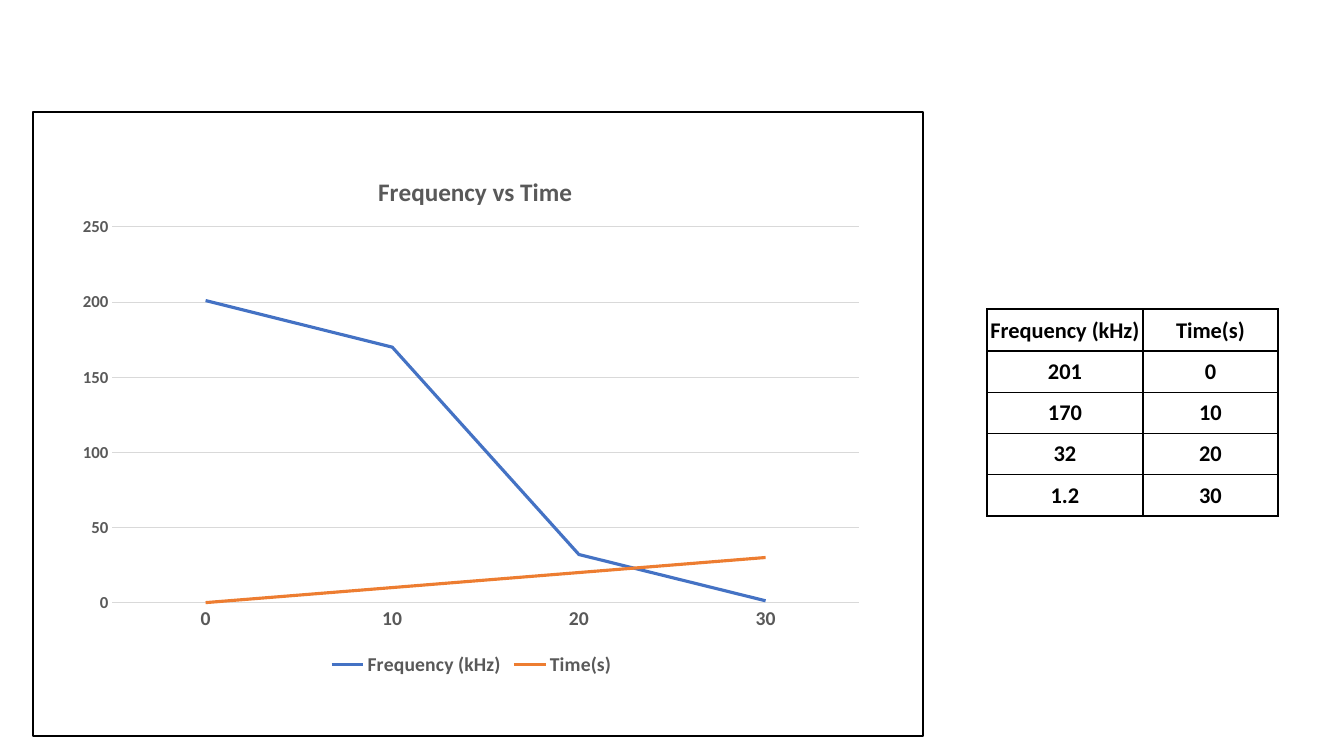
from lxml import etree
from pptx import Presentation, util as u
from pptx.chart.data import CategoryChartData
from pptx.dml.color import RGBColor
from pptx.enum import chart as charts, shapes, text
from pptx.oxml import ns

FREQUENCY, TIME = "Frequency (kHz)", "Time(s)"
READINGS = [(201, 0), (170, 10), (32, 20), (1.2, 30)]


def px(length):
    return u.Emu(round(length * 914400 / 100.8))


def color(hex_string):
    return RGBColor.from_string(hex_string)


def add_child(parent, tag, **attributes):
    return etree.SubElement(parent, ns.qn(tag), attributes)


class SlideBuilder:
    FONT = "Calibri"
    BLACK, GREY, GRID = "000000", "595959", "D9D9D9"

    def __init__(self, presentation):
        self.slide = presentation.slides.add_slide(presentation.slide_layouts[6])

    def style_font(self, font, size, hex_string, bold=True):
        font.name, font.size, font.bold = self.FONT, u.Pt(size), bold
        font.color.rgb = color(hex_string)

    def style_line(self, line, hex_string, width):
        line.color.rgb = color(hex_string)
        line.width = u.Pt(width)

    def place(self, element, **fractions):
        """Fix a chart part at fractions of the chart's size."""
        layout = element.find(ns.qn("c:layout"))
        if layout is None:
            layout = element.makeelement(ns.qn("c:layout"))
            element.insert(0, layout)
        manual = add_child(layout, "c:manualLayout")
        if "w" in fractions:
            add_child(manual, "c:layoutTarget", val="inner")
        for side in ("x", "y"):
            add_child(manual, f"c:{side}Mode", val="edge")
        for name, value in fractions.items():
            add_child(manual, f"c:{name}", val=f"{value:.3f}")

    def line_chart(self, left, top, width, height, title, categories, series):
        """Draw a line chart; series holds (name, values, colour)."""
        data = CategoryChartData()
        data.categories = categories
        for name, values, _ in series:
            data.add_series(name, values)
        chart = self.slide.shapes.add_chart(
            charts.XL_CHART_TYPE.LINE, px(left), px(top), px(width), px(height), data).chart
        self.style_font(chart.font, 10, self.BLACK, bold=False)

        chart.has_title = True
        run = chart.chart_title.text_frame.paragraphs[0].add_run()
        run.text = title
        self.style_font(run.font, 18, self.GREY)
        chart.chart_title.include_in_layout = False

        chart.has_legend = True
        chart.legend.position = charts.XL_LEGEND_POSITION.BOTTOM
        chart.legend.include_in_layout = False
        self.style_font(chart.legend.font, 14, self.GREY)

        for axis, size in ((chart.category_axis, 14), (chart.value_axis, 12)):
            axis.major_tick_mark = axis.minor_tick_mark = charts.XL_TICK_MARK.NONE
            self.style_font(axis.tick_labels.font, size, self.GREY)
        self.style_line(chart.category_axis.format.line, self.GRID, 0.75)
        values_axis = chart.value_axis
        values_axis.minimum_scale, values_axis.maximum_scale = 0, 250
        values_axis.major_unit = 50
        values_axis.format.line.fill.background()
        values_axis.has_major_gridlines = True
        self.style_line(values_axis.major_gridlines.format.line, self.GRID, 0.75)

        plot = chart.plots[0]
        plot.vary_by_categories = False
        for line, (_, _, hex_string) in zip(plot.series, series):
            line.smooth = False
            self.style_line(line.format.line, hex_string, 2.25)
        return chart

    def frame(self, left, top, width, height):
        shape = self.slide.shapes.add_shape(
            shapes.MSO_SHAPE.RECTANGLE, px(left), px(top), px(width), px(height))
        shape.shadow.inherit = False
        shape.fill.background()
        self.style_line(shape.line, self.BLACK, 1.5)

    def cell_borders(self, cell, widths):
        """Set the borders left, right, top and bottom, in points."""
        properties = cell._tc.get_or_add_tcPr()
        for index, (side, width) in enumerate(zip("LRTB", widths)):
            border = properties.makeelement(ns.qn(f"a:ln{side}"), {"w": str(u.Pt(width))})
            add_child(add_child(border, "a:solidFill"), "a:srgbClr", val=self.BLACK)
            properties.insert(index, border)

    def table(self, left, top, columns, heights, rows):
        table = self.slide.shapes.add_table(
            len(heights), len(columns), px(left), px(top),
            px(sum(columns)), px(sum(heights))).table
        table.first_row = table.horz_banding = False
        for column, width in zip(table.columns, columns):
            column.width = px(width)
        heavy_rules = (0, 1, len(rows))
        rules = [1 if edge in heavy_rules else 0.5 for edge in range(len(rows) + 1)]
        for index, (row, height, values) in enumerate(zip(table.rows, heights, rows)):
            row.height = px(height)
            for cell, value in zip(row.cells, values):
                cell.margin_left = cell.margin_right = cell.margin_top = px(1)
                cell.margin_bottom = 0
                cell.vertical_anchor = text.MSO_ANCHOR.MIDDLE
                cell.fill.background()
                self.cell_borders(cell, (1, 1, rules[index], rules[index + 1]))
                paragraph = cell.text_frame.paragraphs[0]
                paragraph.alignment = text.PP_ALIGN.CENTER
                run = paragraph.add_run()
                run.text = str(value)
                self.style_font(run.font, 16, self.BLACK)


def main():
    presentation = Presentation()
    presentation.slide_width, presentation.slide_height = px(1344), px(756)
    builder = SlideBuilder(presentation)
    frequencies, times = zip(*READINGS)
    chart = builder.line_chart(
        67, 145, 809, 536, "Frequency vs Time", [str(time) for time in times],
        [(FREQUENCY, frequencies, "4472C4"), (TIME, times, "ED7D31")])
    builder.place(chart.chart_title._element, x=0.379, y=0.047)
    builder.place(chart._chartSpace.chart.plotArea, x=0.056, y=0.153, w=0.923, h=0.701)
    builder.frame(33, 112, 890, 624)
    builder.table(987, 309, [156, 135], [42, 41, 41, 41, 42],
                  [(FREQUENCY, TIME), *READINGS])
    presentation.save("out.pptx")


if __name__ == "__main__":
    main()
